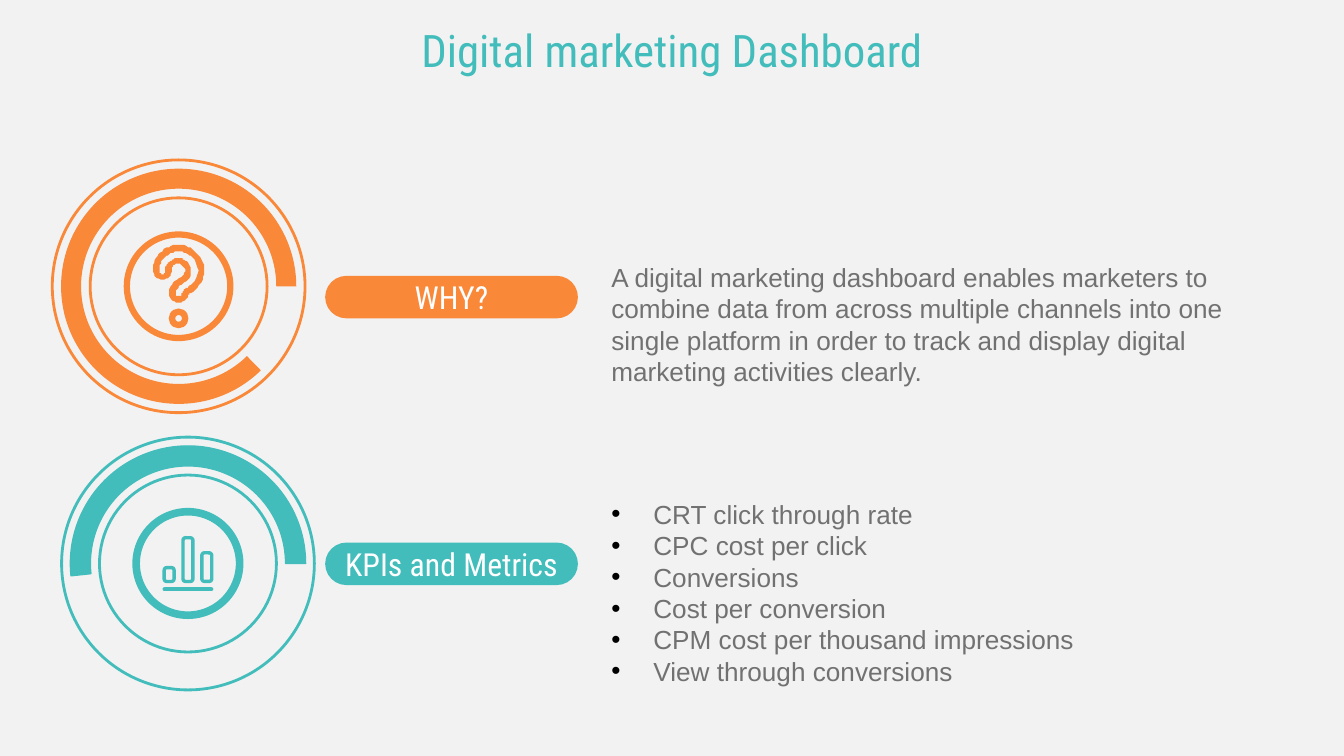
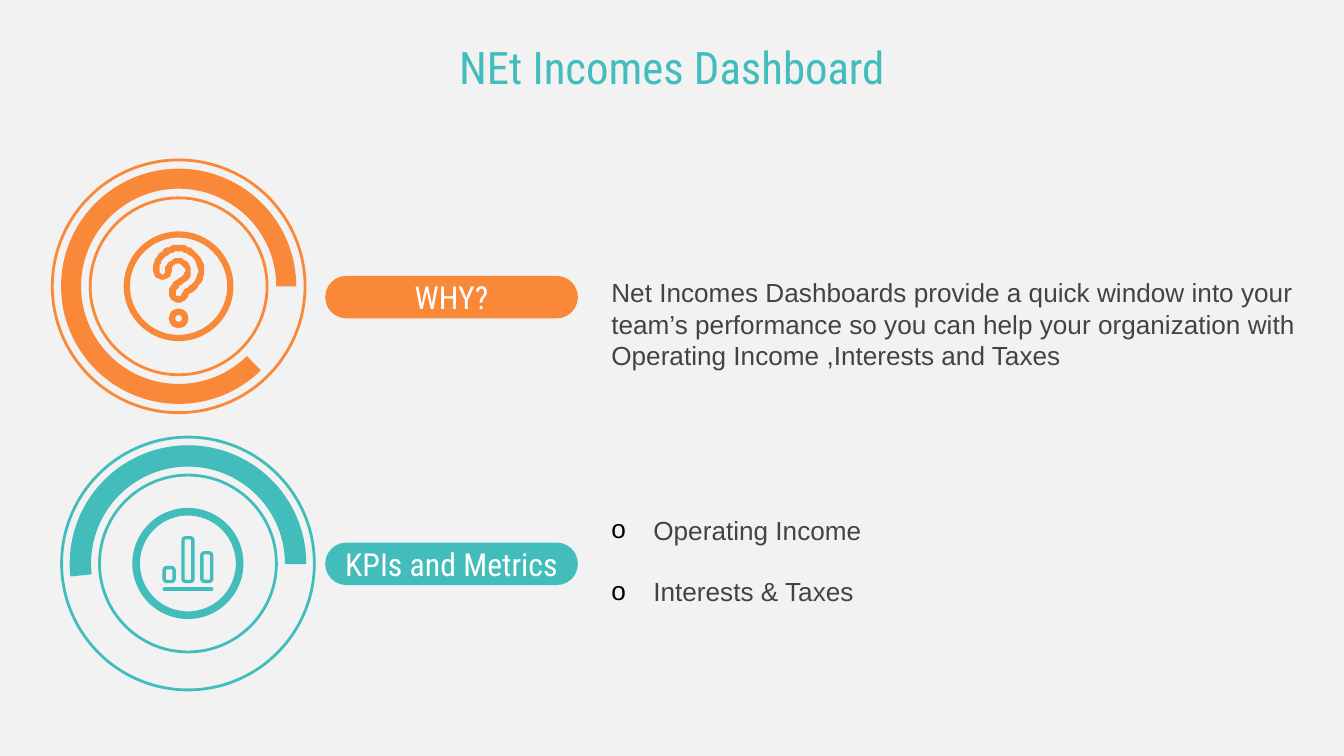
from dataclasses import dataclass

from lxml import etree
from pptx import Presentation
from pptx import util as u
from pptx.dml.color import RGBColor
from pptx.enum import shapes, text
from pptx.oxml.ns import qn

Pt = u.Pt
KIND = shapes.MSO_SHAPE
ORANGE, TEAL, WHITE, BLACK = "FA8839", "42BDBB", "FFFFFF", "000000"
BACKGROUND, MID_GREY, DARK_GREY = "F2F2F2", "717171", "434343"
HEADING_FONT, BODY_FONT = "Roboto Condensed", "Arial"
BODY_LINE, INSET, HANGING = 16.1, 7.2, 22.5
BODY_LEFT, BODY_WIDTH = 320.4, 380.9

# Question mark outlines, in hundredths of an inch: a start, then cubic curves
MARK_UNIT = 0.72
MARK_OUTER = [
    (19, 0), (14, 0, 9, 2, 5, 6), (2, 9, 0, 14, 0, 19), (0, 23, 3, 26, 7, 26),
    (11, 26, 14, 23, 14, 19), (14, 16, 16, 14, 19, 14), (20, 14, 21, 15, 21, 15),
    (25, 17, 24, 22, 21, 24), (16, 26, 13, 30, 12, 34), (11, 38, 14, 42, 17, 43),
    (18, 43, 19, 43, 19, 43), (22, 43, 25, 41, 26, 38), (26, 38, 26, 37, 28, 36),
    (33, 33, 37, 28, 38, 22), (39, 16, 37, 10, 32, 6), (29, 2, 24, 0, 19, 0)]
MARK_INNER = [
    (19, 5), (23, 5, 26, 7, 29, 9), (35, 15, 35, 24, 29, 29), (28, 30, 27, 31, 25, 32),
    (23, 33, 22, 35, 21, 37), (21, 38, 20, 38, 19, 38), (17, 38, 17, 37, 17, 35),
    (18, 32, 20, 30, 23, 28), (29, 25, 30, 17, 26, 13), (24, 11, 21, 10, 19, 10),
    (16, 10, 14, 11, 12, 13), (10, 14, 9, 17, 9, 19), (9, 21, 8, 22, 7, 22),
    (6, 22, 5, 21, 5, 19), (5, 15, 6, 12, 9, 9), (11, 7, 15, 5, 19, 5)]


@dataclass(frozen=True)
class Dial:
    """A round gauge with an icon in its middle and a label beside it."""
    label: str
    color: str
    center_x: float
    center_y: float
    arc_start: float
    pill_top: float
    edge: float


@dataclass(frozen=True)
class Page:
    title: str
    title_top: float
    color: str
    reason: str
    metrics: tuple[str, ...]
    bullet: str
    list_height: float
    list_inset: float
    gap: float


WHY = Dial("WHY?", ORANGE, 95.7, 153.4, 27.388, 147.8, 0)
KPIS = Dial("KPIs and Metrics", TEAL, 100.7, 301.9, 104.411, 290.7, 0.75)

PAGES = [
    Page("Digital marketing Dashboard", 8.6, MID_GREY,
         "A digital marketing dashboard enables marketers to combine data from across "
         "multiple channels into one single platform in order to track and display "
         "digital marketing activities clearly.",
         ("CRT click through rate", "CPC cost per click", "Conversions",
          "Cost per conversion", "CPM cost per thousand impressions",
          "View through conversions"),
         "•", 121.7, INSET + BODY_LINE, 0),
    Page("NEt Incomes Dashboard", 18, DARK_GREY,
         "Net Incomes Dashboards provide a quick window into your team’s performance so "
         "you can help your organization with Operating Income ,Interests and Taxes",
         ("Operating Income", "Interests & Taxes"),
         "o", 103.7, INSET, BODY_LINE),
]


def rgb(color: str) -> RGBColor:
    return RGBColor.from_string(color)


def apply(target, values: dict) -> None:
    for name, value in values.items():
        setattr(target, name, value)


def paint(shape, fill: str = "", line: str = "", width: float = 0) -> None:
    shape.shadow.inherit = False
    if fill:
        shape.fill.solid()
        shape.fill.fore_color.rgb = rgb(fill)
    else:
        shape.fill.background()
    if width:
        shape.line.color.rgb = rgb(line)
        shape.line.width = Pt(width)
    else:
        shape.line.fill.background()


def add_preset(parent, kind, left: float, top: float, width: float, height: float,
               adjustments: tuple = ()):
    shape = parent.shapes.add_shape(kind, Pt(left), Pt(top), Pt(width), Pt(height))
    for index, value in enumerate(adjustments):
        shape.adjustments[index] = value
    return shape


def add_centered(parent, kind, dial: Dial, size: float, adjustments: tuple, drop: float = 0):
    return add_preset(parent, kind, dial.center_x - size / 2,
                      dial.center_y + drop - size / 2, size, size, adjustments)


def set_frame(shape, inset: float = INSET, top: float = INSET,
              anchor=text.MSO_ANCHOR.MIDDLE):
    frame = shape.text_frame
    apply(frame, dict(word_wrap=True, vertical_anchor=anchor, margin_left=Pt(inset),
                      margin_right=Pt(inset), margin_top=Pt(top), margin_bottom=Pt(INSET)))
    return frame


def write(paragraph, words: str, font: str, size: float, color: str, align=None) -> None:
    paragraph.alignment = align
    run = paragraph.add_run()
    run.text = words
    apply(run.font, dict(name=font, size=Pt(size)))
    run.font.color.rgb = rgb(color)


def set_bullet(paragraph, symbol: str) -> None:
    properties = paragraph._p.get_or_add_pPr()
    properties.set("marL", str(Pt(HANGING)))
    properties.set("indent", str(-Pt(HANGING)))
    color = etree.SubElement(properties, qn("a:buClr"))
    etree.SubElement(color, qn("a:srgbClr"), val=BLACK)
    etree.SubElement(properties, qn("a:buFont"), typeface=BODY_FONT)
    etree.SubElement(properties, qn("a:buChar"), char=symbol)


def add_body(slide, top: float, height: float, inset_top: float = INSET):
    box = slide.shapes.add_textbox(Pt(BODY_LEFT), Pt(top), Pt(BODY_WIDTH), Pt(height))
    return set_frame(box, top=inset_top)


def flatten(outline: list, steps: int = 8) -> list:
    """Turn a start point and cubic curves into a list of points."""
    points = [outline[0]]
    for x1, y1, x2, y2, x3, y3 in outline[1:]:
        x0, y0 = points[-1]
        for step in range(1, steps + 1):
            t = step / steps
            s = 1 - t
            weights = (s ** 3, 3 * s * s * t, 3 * s * t * t, t ** 3)
            points.append((sum(w * x for w, x in zip(weights, (x0, x1, x2, x3))),
                           sum(w * y for w, y in zip(weights, (y0, y1, y2, y3)))))
    return points


def add_question_mark(group, dial: Dial) -> None:
    outer, inner = flatten(MARK_OUTER), flatten(MARK_INNER)
    builder = group.shapes.build_freeform(*outer[0], scale=Pt(MARK_UNIT))
    builder.add_line_segments(outer[1:], close=True)
    builder.move_to(*inner[0])
    builder.add_line_segments(inner[1:], close=True)
    hook = builder.convert_to_shape(Pt(dial.center_x - 13.7), Pt(dial.center_y - 22.2))
    paint(hook, dial.color)
    paint(add_centered(group, KIND.DONUT, dial, 10.6, (0.33,), 17.2), dial.color)


def add_bar_chart_icon(group, dial: Dial) -> None:
    icon = group.shapes.add_group_shape()
    underline = add_preset(icon, KIND.ROUNDED_RECTANGLE, dial.center_x - 13.6,
                           dial.center_y + 12.7, 27.2, 2, (0.5,))
    paint(underline, dial.color)
    stroke, width, pitch, bottom = 1.8, 5.3, 10.1, dial.center_y + 9.6
    for index, height in enumerate((7.4, 23.4, 15.3)):
        center = dial.center_x + (index - 1) * pitch
        bar = add_preset(icon, KIND.ROUNDED_RECTANGLE, center - width / 2,
                         bottom - height, width, height, (0.25,))
        paint(bar, line=dial.color, width=stroke)


def add_dial(slide, dial: Dial, add_icon) -> None:
    # Label
    pill = add_preset(slide, KIND.ROUNDED_RECTANGLE, 174.2, dial.pill_top, 135.4, 22.8, (0.5,))
    paint(pill, dial.color)
    write(set_frame(pill).paragraphs[0], dial.label, HEADING_FONT, 17, WHITE,
          text.PP_ALIGN.CENTER)
    # Rings, gauge arc and icon
    group = slide.shapes.add_group_shape()
    paint(add_centered(group, KIND.DONUT, dial, 135.4, (0.15,)), line=dial.color, width=1.5)
    arc = add_centered(group, KIND.BLOCK_ARC, dial, 126, (dial.arc_start, 215.998, 0.085))
    paint(arc, dial.color, dial.color, dial.edge)
    disc = add_centered(group, KIND.DONUT, dial, 58.8, (0.057,))
    paint(disc, dial.color, dial.color, dial.edge)
    add_icon(group, dial)


def add_page(presentation, page: Page) -> None:
    slide = presentation.slides.add_slide(presentation.slide_layouts[6])
    slide.background.fill.solid()
    slide.background.fill.fore_color.rgb = rgb(BACKGROUND)

    # Reason
    reason = add_body(slide, 121.7, 103.7)
    write(reason.paragraphs[0], page.reason, BODY_FONT, 14, page.color)
    add_dial(slide, WHY, add_question_mark)
    add_dial(slide, KPIS, add_bar_chart_icon)

    # Metrics list
    metrics = add_body(slide, 248.4, page.list_height, page.list_inset)
    for index, metric in enumerate(page.metrics):
        paragraph = metrics.add_paragraph() if index else metrics.paragraphs[0]
        if index and page.gap:
            paragraph.space_before = Pt(page.gap)
        set_bullet(paragraph, page.bullet)
        write(paragraph, metric, BODY_FONT, 14, page.color)

    # Title
    box = slide.shapes.add_textbox(Pt(0), Pt(page.title_top), Pt(720), Pt(36))
    frame = set_frame(box, top=3.6, anchor=text.MSO_ANCHOR.TOP)
    write(frame.paragraphs[0], page.title, HEADING_FONT, 24, TEAL, text.PP_ALIGN.CENTER)


def main() -> None:
    presentation = Presentation()
    apply(presentation, dict(slide_width=Pt(720), slide_height=Pt(405)))
    for page in PAGES:
        add_page(presentation, page)
    presentation.save("out.pptx")


if __name__ == "__main__":
    main()
